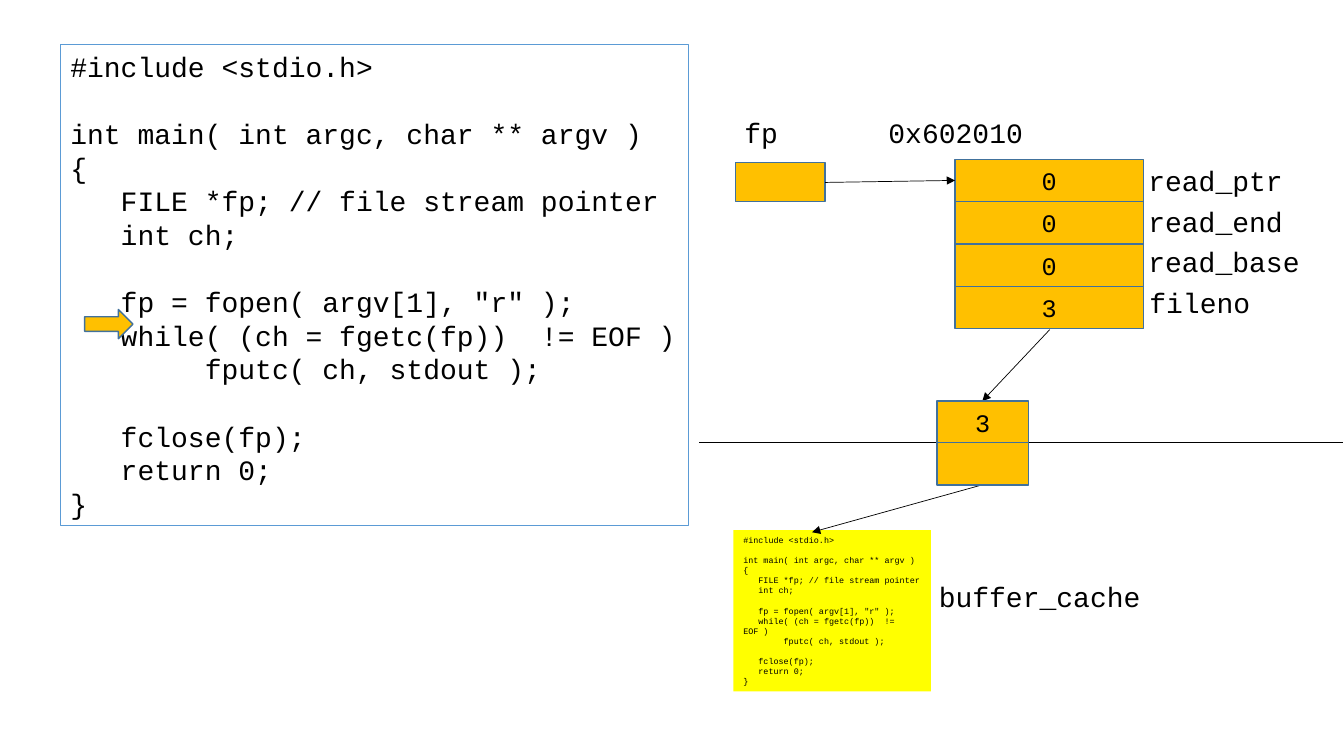
from pptx import Presentation
from pptx.dml.color import RGBColor
from pptx.enum.shapes import MSO_CONNECTOR, MSO_SHAPE
from pptx.enum.text import MSO_ANCHOR, PP_ALIGN
from pptx.oxml.ns import qn
from pptx.util import Inches, Pt
from lxml.etree import SubElement

CODE = """#include <stdio.h>

int main( int argc, char ** argv )
{
   FILE *fp; // file stream pointer
   int ch;

   fp = fopen( argv[1], "r" );
   while( (ch = fgetc(fp))  != EOF )
        fputc( ch, stdout );

   fclose(fp);
   return 0;
}"""
AMBER, BLUE = "FFC000", "41719C"
LINE_HEIGHT = 1.2  # line pitch relative to font size


def rgb(value):
    return RGBColor.from_string(value)


def add_box(box, text="", size=18, fill=None, line=None, width=1, wrap=True,
            align=PP_ALIGN.LEFT, anchor=MSO_ANCHOR.TOP, kind=MSO_SHAPE.RECTANGLE):
    box = [Inches(v) for v in box]
    if fill or line:
        sp = shapes.add_shape(kind, *box)
        sp.shadow.inherit = False
        for part, color in ((sp.fill, fill), (sp.line.fill, line)):
            if color:
                part.solid()
                part.fore_color.rgb = rgb(color)
            else:
                part.background()
        if line:
            sp.line.width = Pt(width)
    else:
        sp = shapes.add_textbox(*box)
    tf = sp.text_frame
    tf.word_wrap = wrap
    tf.vertical_anchor = anchor
    # A blank code line becomes space before the next line
    for i, block in enumerate(text.split("\n\n")):
        for j, row in enumerate(block.split("\n")):
            p = tf.paragraphs[0] if i == j == 0 else tf.add_paragraph()
            p.alignment = align
            if i and j == 0:
                p.space_before = Pt(round(size * LINE_HEIGHT, 1))
            if row:
                r = p.add_run()
                r.text = row
                r.font.color.rgb = rgb("000000")
                for name, value in {"name": "Courier New", "size": Pt(size)}.items():
                    setattr(r.font, name, value)


prs = Presentation()
prs.slide_width, prs.slide_height = Inches(13.34), Inches(7.5)
s = prs.slides.add_slide(prs.slide_layouts[6])
shapes = s.shapes
cell = {"fill": AMBER, "line": BLUE, "align": PP_ALIGN.CENTER, "anchor": MSO_ANCHOR.MIDDLE}

# Program listing with the current-line marker
add_box((0.6, 0.44, 6.23, 4.77), CODE, 20, line="5B9BD5", width=0.75, wrap=False)
add_box((0.84, 3.07, 0.48, 0.29), fill=AMBER, line=BLUE, kind=MSO_SHAPE.RIGHT_ARROW)

# FILE structure and the fp variable
for i, value in enumerate("0003"):
    add_box((9.48, 1.58 + 0.42 * i, 1.87, 0.42), value, **cell)
add_box((7.3, 1.61, 0.89, 0.39), **cell)

# Labels
for x, y, w, label in [
    (7.29, 1.1, 0.6, "fp"),
    (8.72, 1.1, 1.56, "0x602010"),
    (11.3, 1.57, 1.56, "read_ptr"),
    (11.3, 1.98, 1.56, "read_end"),
    (11.3, 2.38, 1.73, "read_base"),
    (11.31, 2.78, 1.22, "fileno"),
    (9.22, 5.7, 2.23, "buffer_cache"),
]:
    add_box((x, y, w, 0.44), label, 20, wrap=False)

# Buffer cache holding the file contents
add_box((7.28, 5.26, 1.96, 1.6), CODE, 6, fill="FFFF00")

# User/kernel divider and pointer arrows
for x1, y1, x2, y2, arrow in [
    (6.94, 4.39, 13.33, 4.39, False),
    (8.19, 1.81, 9.48, 1.79, True),
    (10.42, 3.27, 9.75, 3.98, True),
    (9.75, 4.81, 8.06, 5.28, True),
]:
    c = shapes.add_connector(MSO_CONNECTOR.STRAIGHT, *[Inches(v) for v in (x1, y1, x2, y2)])
    c.line.color.rgb = rgb("000000")
    c.line.width = Pt(0.5)
    if arrow:
        SubElement(c.line._get_or_add_ln(), qn("a:tailEnd"), type="triangle")
    SubElement(c._element.spPr, qn("a:effectLst"))

# File descriptor across the divider
for y, value in ((3.98, "3"), (4.39, "")):
    add_box((9.3, y, 0.91, 0.42), value, **cell)

prs.save("out.pptx")
